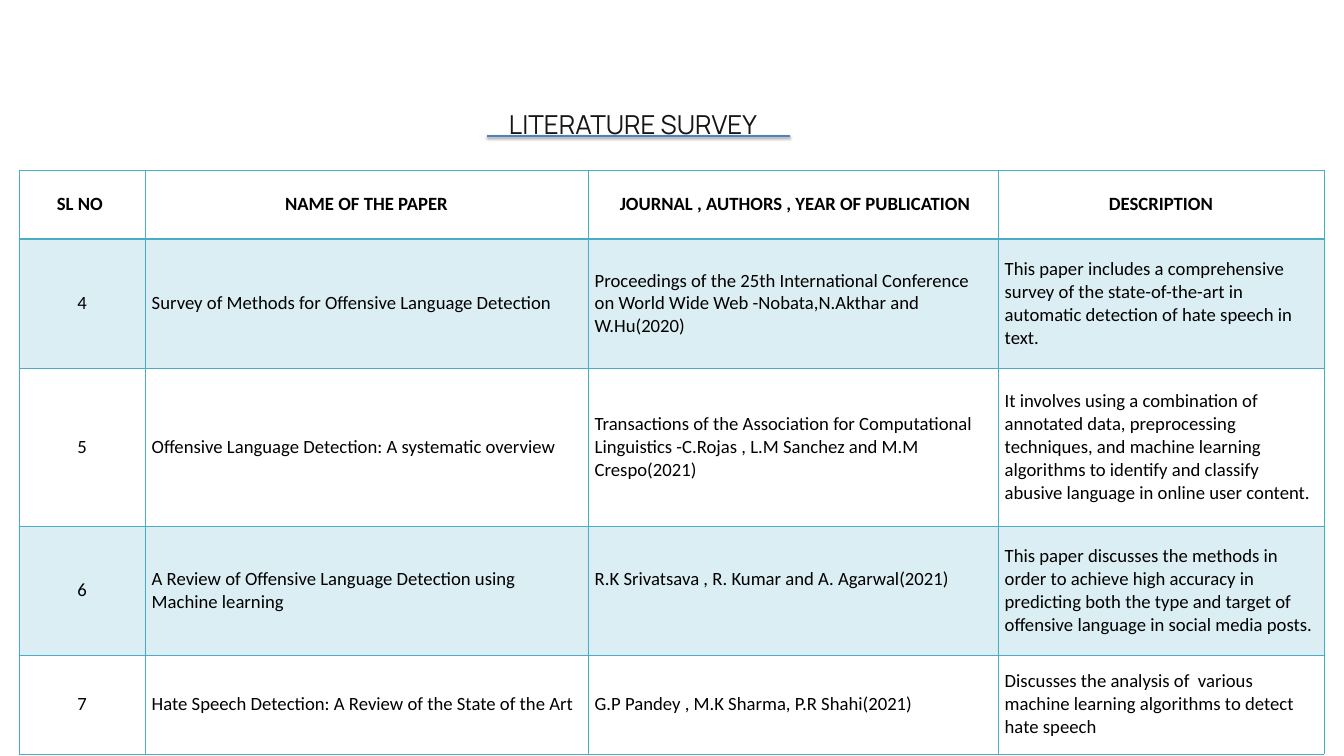
import pptx
import pptx.util
import pptx.dml.color
import pptx.enum.shapes
import pptx.enum.text
import pptx.oxml
import pptx.oxml.ns

# Content
TITLE = "LITERATURE SURVEY"
HEADER = ("SL NO ", "NAME OF THE PAPER",
          " JOURNAL , AUTHORS , YEAR OF PUBLICATION", "DESCRIPTION")
PAPERS = [
    ("4", "Survey of Methods for Offensive Language Detection",
     "Proceedings of the 25th International Conference on World Wide Web "
     "-Nobata,N.Akthar and W.Hu(2020)",
     "This paper includes a comprehensive survey of the state-of-the-art in "
     "automatic detection of hate speech in text."),
    ("5", "Offensive Language Detection: A systematic overview",
     "Transactions of the Association for Computational Linguistics "
     "-C.Rojas , L.M Sanchez and M.M Crespo(2021)",
     "It involves using a combination of annotated data, preprocessing "
     "techniques, and machine learning algorithms to identify and classify "
     "abusive language in online user content."),
    ("6", "A Review of Offensive Language Detection using Machine learning",
     "R.K Srivatsava , R. Kumar and A. Agarwal(2021)",
     "This paper discusses the methods in order to achieve high accuracy in "
     "predicting both the type and target of offensive language in social "
     "media posts."),
    ("7", "Hate Speech Detection: A Review of the State of the Art",
     "G.P Pandey , M.K Sharma, P.R Shahi(2021)",
     "Discusses the analysis of  various machine learning algorithms to "
     "detect hate speech"),
]
RAISED = (3, 2)  # row and column of the entry set one line higher

# Layout in px
SLIDE = (1344, 756)
TITLE_BOX = (509, 77, 269, 54)
UNDERLINE = (790, 136, 487, 136)
TABLE_AT = (19, 170)
COLS = (126, 443, 410, 326)
ROWS = (69, 129, 158, 129, 99)
RAISED_MARGIN = 26

THEME = {
    "title": "171616", "text": "000000", "grid": "4BACC6", "rule": "4F81BD",
    "title_font": "Manrope", "table_font": "Calibri",
    "title_size": 28, "title_leading": 67.2, "table_size": 20,
    "band_alpha": 20000,
}

Pt = pptx.util.Pt
ALIGN = pptx.enum.text.PP_ALIGN
NS = pptx.oxml.ns.nsdecls("a")


def px(n):
    return pptx.util.Emu(round(n * 914400 / 67.2))


def rgb(name):
    return pptx.dml.color.RGBColor.from_string(THEME[name])


def style_font(p, kind, color):
    p.font.name = THEME[kind + "_font"]
    p.font.size = Pt(THEME[kind + "_size"])
    p.font.color.rgb = rgb(color)


def set_borders(tcPr, header):
    for side in ("L", "R", "T", "B"):
        width = Pt(2 if header and side == "B" else 1)
        tcPr.append(pptx.oxml.parse_xml(
            f'<a:ln{side} {NS} w="{width}"><a:solidFill>'
            f'<a:srgbClr val="{THEME["grid"]}"/></a:solidFill></a:ln{side}>'))


def fill_cell(cell, text, row, col):
    header = row == 0
    cell.text = text
    cell.vertical_anchor = pptx.enum.text.MSO_ANCHOR.MIDDLE
    if (row, col) == RAISED:
        cell.margin_bottom = px(RAISED_MARGIN)
    p = cell.text_frame.paragraphs[0]
    p.alignment = ALIGN.CENTER if header or col == 0 else ALIGN.LEFT
    style_font(p, "table", "text")
    p.font.bold = header
    tcPr = cell._tc.get_or_add_tcPr()
    set_borders(tcPr, header)
    if row % 2:
        cell.fill.solid()
        cell.fill.fore_color.rgb = rgb("grid")
        color = tcPr.find(pptx.oxml.ns.qn("a:solidFill"))[0]
        color.append(pptx.oxml.parse_xml(
            f'<a:alpha {NS} val="{THEME["band_alpha"]}"/>'))
    else:
        cell.fill.background()


def add_survey_table(slide):
    frame = slide.shapes.add_table(len(ROWS), len(COLS), *map(px, TABLE_AT),
                                   px(sum(COLS)), px(sum(ROWS)))
    table = frame.table
    table.first_row = table.horz_banding = False
    for column, width in zip(table.columns, COLS):
        column.width = px(width)
    for row, height in zip(table.rows, ROWS):
        row.height = px(height)
    for i, entries in enumerate([HEADER, *PAPERS]):
        for j, text in enumerate(entries):
            fill_cell(table.cell(i, j), text, i, j)


def add_title(slide):
    sp = slide.shapes.title
    sp.left, sp.top, sp.width, sp.height = map(px, TITLE_BOX)
    tf = sp.text_frame
    tf.text = TITLE
    tf.word_wrap = True
    tf.auto_size = pptx.enum.text.MSO_AUTO_SIZE.SHAPE_TO_FIT_TEXT
    tf.vertical_anchor = pptx.enum.text.MSO_ANCHOR.TOP
    tf.margin_left = tf.margin_top = tf.margin_right = tf.margin_bottom = 0
    p = tf.paragraphs[0]
    p.alignment = ALIGN.LEFT
    p.line_spacing = Pt(THEME["title_leading"])
    style_font(p, "title", "title")


def add_underline(slide):
    line = slide.shapes.add_connector(
        pptx.enum.shapes.MSO_CONNECTOR.STRAIGHT, *map(px, UNDERLINE))
    line.line.color.rgb = rgb("rule")
    line.line.width = Pt(3)
    # Soft shadow straight below the line
    line._element.spPr.append(pptx.oxml.parse_xml(
        f'<a:effectLst {NS}><a:outerShdw blurRad="{Pt(3.1)}" '
        f'dist="{Pt(1.8)}" dir="5400000" rotWithShape="0">'
        '<a:srgbClr val="000000"><a:alpha val="35000"/></a:srgbClr>'
        '</a:outerShdw></a:effectLst>'))


def main():
    prs = pptx.Presentation()
    prs.slide_width, prs.slide_height = map(px, SLIDE)
    slide = prs.slides.add_slide(prs.slide_layouts[5])
    add_survey_table(slide)
    add_title(slide)
    add_underline(slide)
    prs.save("out.pptx")


if __name__ == "__main__":
    main()
